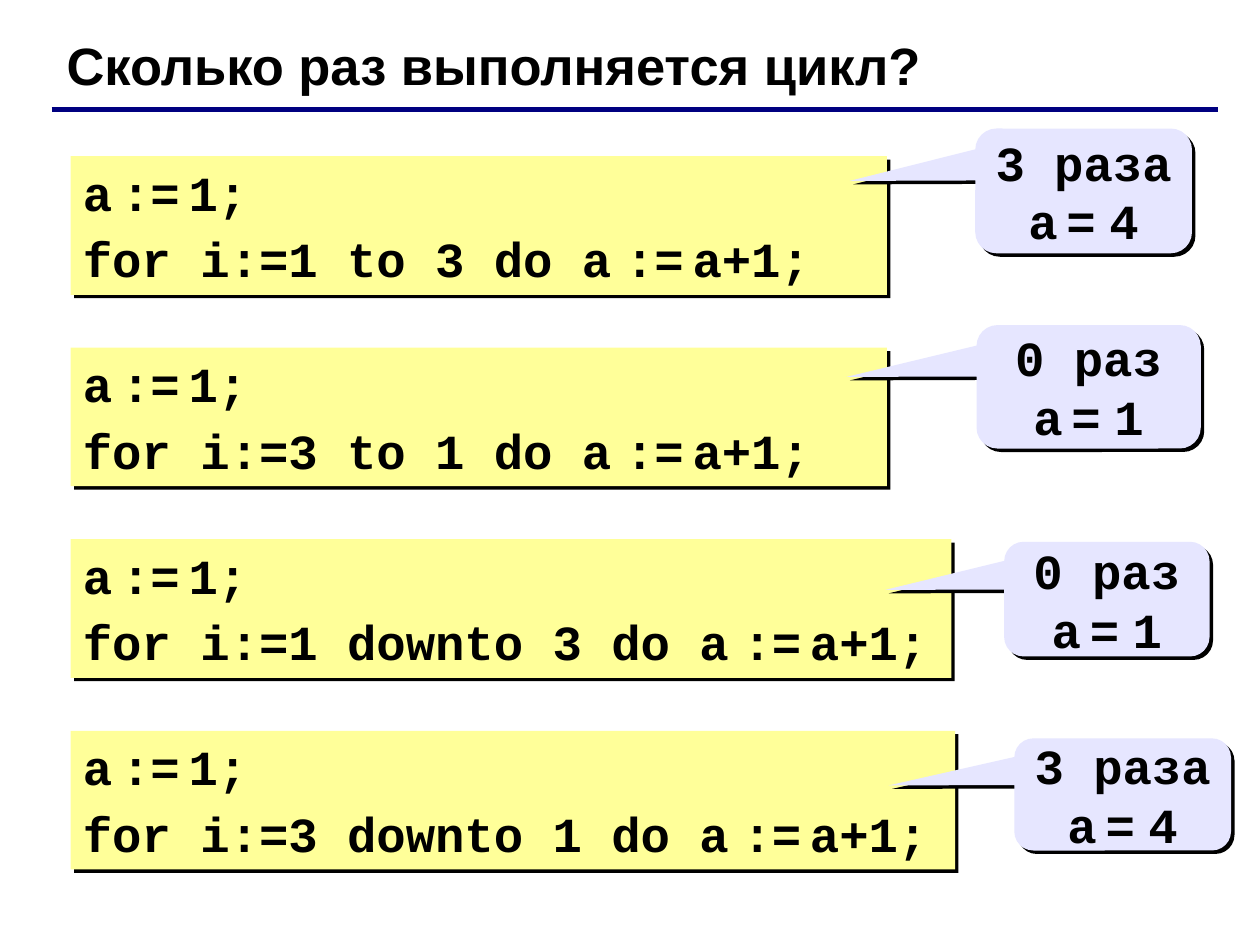
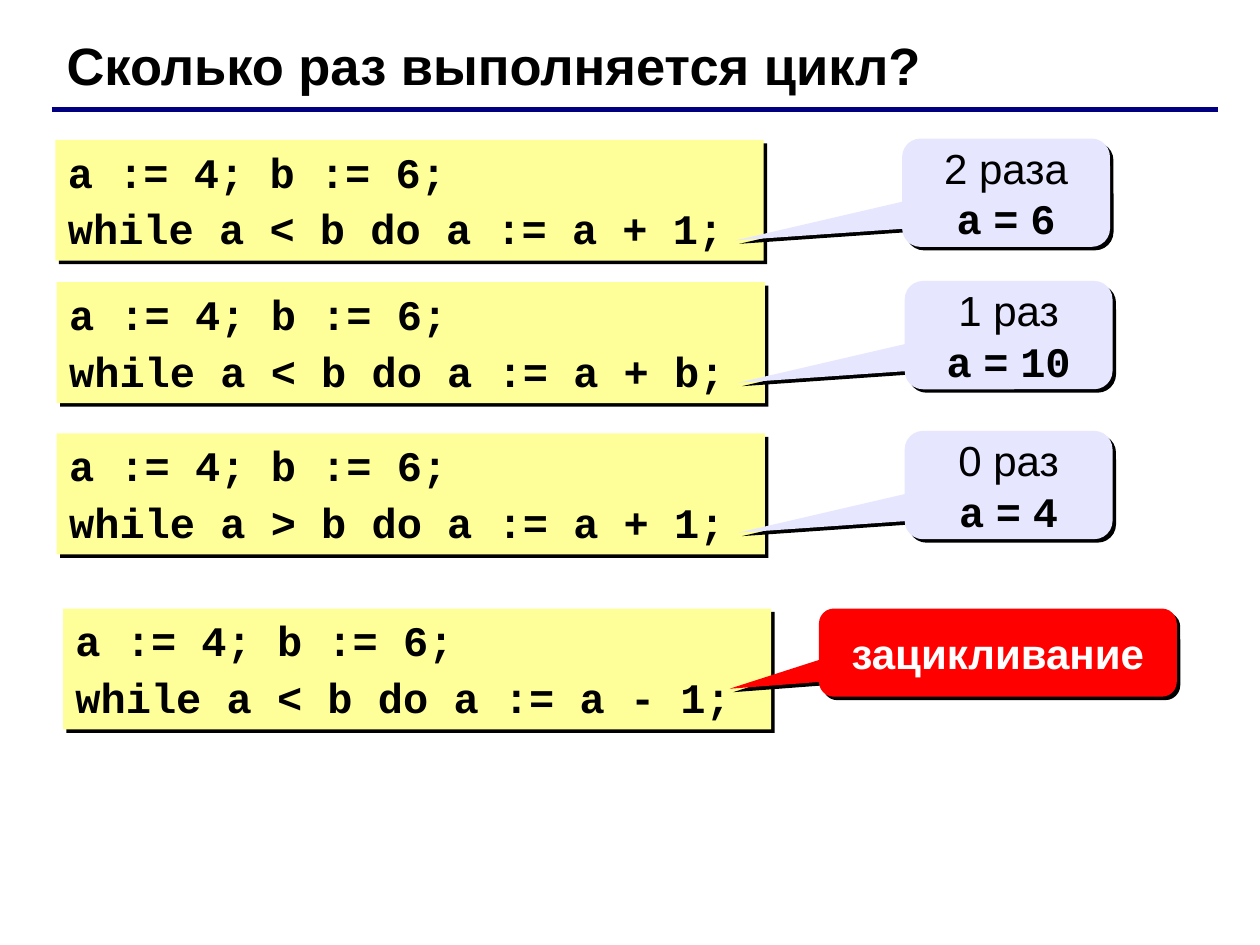
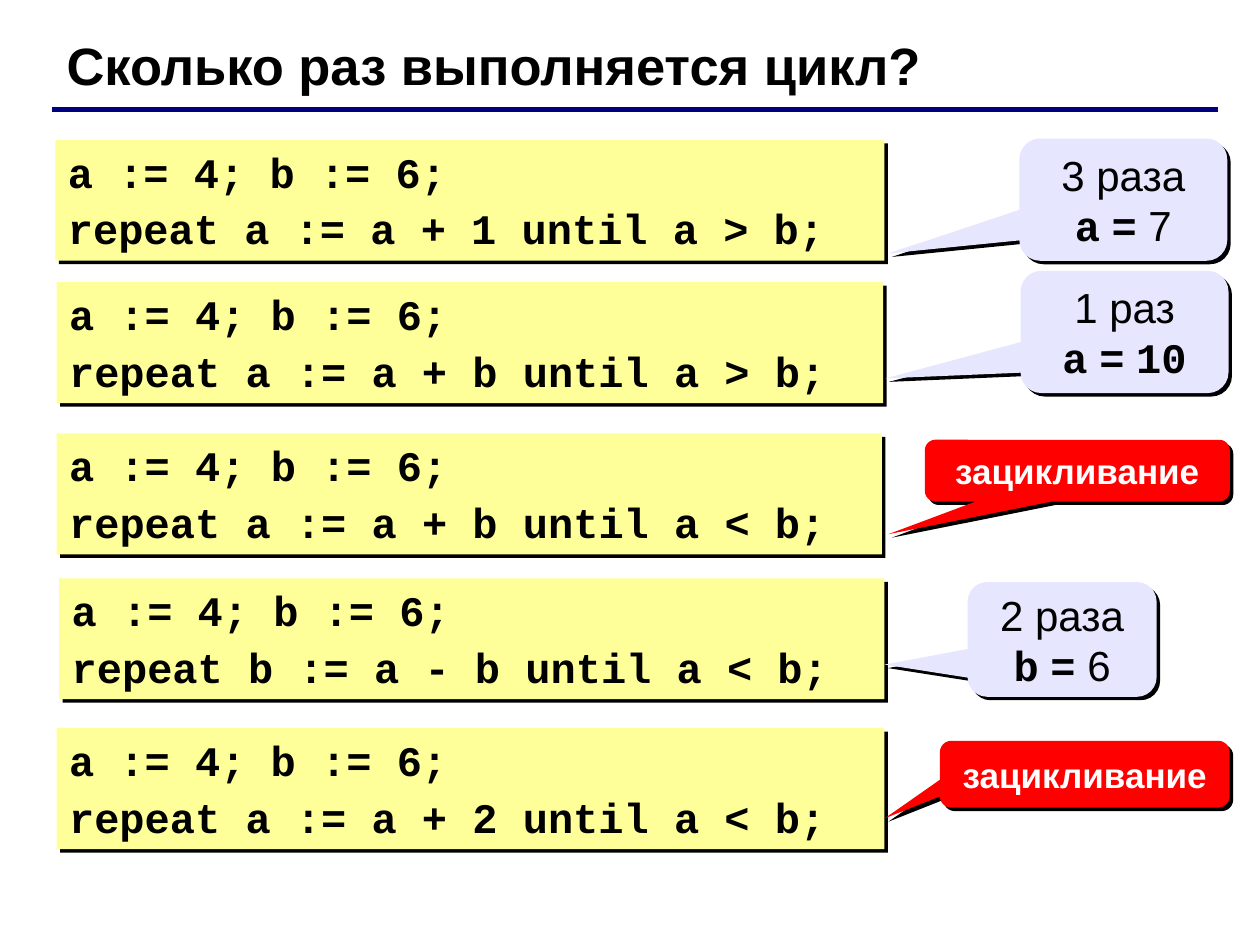
"""Build three slides that ask how many times a Pascal loop runs."""
from lxml.etree import SubElement
from pptx import Presentation
from pptx.dml.color import RGBColor
from pptx.enum.shapes import MSO_CONNECTOR, MSO_SHAPE
from pptx.enum.text import MSO_ANCHOR, MSO_AUTO_SIZE, PP_ALIGN
from pptx.oxml.ns import qn
from pptx.util import Inches, Pt

COLORS = {"text": "000000", "rule": "000080", "code": "FFFF99",
          "answer": "E6E6FF", "alarm": "FF0000", "light": "FFFFFF"}
SANS, MONO = "Arial", "Courier New"
COLS, ROWS = 100, 75
THIN_SPACE = 18


class Deck:
    """Hold the style and the current slide."""

    def __init__(self):
        self.prs = Presentation()
        self.prs.slide_width, self.prs.slide_height = Inches(10), Inches(7.5)
        self.slide = None

    def x(self, cols):
        """Turn columns into a length."""
        return round(self.prs.slide_width * cols / COLS)

    def y(self, rows):
        """Turn rows into a length."""
        return round(self.prs.slide_height * rows / ROWS)

    def box(self, at):
        """Turn a grid rectangle into lengths."""
        left, top, width, height = at
        return self.x(left), self.y(top), self.x(width), self.y(height)

    def color(self, name):
        """Look up a colour."""
        return RGBColor.from_string(COLORS[name])

    def font(self, font, name, bold):
        """Set the typeface and weight."""
        font.name, font.bold = name, bold

    def paragraph(self, p, text, size, color="text", bold_sans=False):
        """Write text in which bars switch between mono and sans."""
        p.font.size, p.font.color.rgb = Pt(size), self.color(color)
        parts = [(i % 2, part) for i, part in enumerate(text.split("|")) if part]
        for sans, part in parts:
            r = p.add_run()
            r.text = part.replace("~", " ")
            style = (SANS, bold_sans) if sans else (MONO, True)
            self.font(p.font if len(parts) == 1 else r.font, *style)
            if "~" in part:
                r.font.size = Pt(THIN_SPACE)

    def title(self, text):
        """Start a slide with a title and a rule under it."""
        self.slide = self.prs.slides.add_slide(self.prs.slide_layouts[6])
        shapes = self.slide.shapes
        rule = shapes.add_connector(MSO_CONNECTOR.STRAIGHT, self.x(4.1), self.y(8.7),
                                    self.x(96.7), self.y(8.7))
        rule.line.color.rgb, rule.line.width = self.color("rule"), Pt(3)
        SubElement(rule._element.spPr, qn("a:effectLst"))
        tf = shapes.add_textbox(*self.box((4.3, 2.1, 89, 6))).text_frame
        tf.word_wrap = True
        p = tf.paragraphs[0]
        p.space_before = Pt(2)
        self.paragraph(p, "|" + text, 30, bold_sans=True)

    def panel(self, kind, at, fill):
        """Add a filled shape with a hard shadow and return it."""
        sp = self.slide.shapes.add_shape(kind, *self.box(at))
        sp.fill.solid()
        sp.fill.fore_color.rgb = self.color(fill)
        sp.line.fill.background()
        sp.shadow.inherit = False
        effects = sp._element.spPr.find(qn("a:effectLst"))
        shadow = SubElement(effects, qn("a:outerShdw"), dist=str(Pt(2.8)),
                            dir="2700000", algn="ctr", rotWithShape="0")
        SubElement(shadow, qn("a:srgbClr"), val=COLORS["text"])
        sp.text_frame.word_wrap = True
        return sp

    def lines(self, tf, texts, size, align, gap=0, **style):
        """Fill a text frame with one paragraph per text."""
        for i, text in enumerate(texts):
            p = tf.add_paragraph() if i else tf.paragraphs[0]
            p.alignment, p.space_before = align, Pt(gap)
            self.paragraph(p, text, size, **style)

    def code(self, left, top, width, texts, size):
        """Add a code box as high as its two lines."""
        height = 11 if size == 28 else 9.6
        tf = self.panel(MSO_SHAPE.RECTANGLE, (left, top, width, height), "code").text_frame
        tf.vertical_anchor = MSO_ANCHOR.TOP
        tf.auto_size = MSO_AUTO_SIZE.SHAPE_TO_FIT_TEXT
        self.lines(tf, texts, size, PP_ALIGN.LEFT, gap=0.15 * size)

    def callout(self, at, tip, texts, size, fill="answer", **style):
        """Add a callout whose tip is given as shares of its size."""
        sp = self.panel(MSO_SHAPE.ROUNDED_RECTANGULAR_CALLOUT, at, fill)
        for i, value in enumerate((*tip, 0.17)):
            sp.adjustments[i] = value
        sp.text_frame.vertical_anchor = MSO_ANCHOR.MIDDLE
        self.lines(sp.text_frame, texts, size, PP_ALIGN.CENTER, **style)

    def alarm(self, at, tip, size):
        """Add the red callout for an endless loop."""
        self.callout(at, tip, ["|зацикливание"], size, "alarm",
                     color="light", bold_sans=True)


TITLE = "Сколько раз выполняется цикл?"
START = "a := 4; b := 6;"

FOR_LOOPS = [
    ("1 to 3", 64.8, (77.4, 10.2, 17.2, 9.9), "3 раза", 4),
    ("3 to 1", 64.8, (77.5, 25.8, 17.8, 9.8), "0 раз", 1),
    ("1 downto 3", 69.9, (79.7, 43, 16.3, 9.1), "0 раз", 1),
    ("3 downto 1", 70.2, (80.5, 58.6, 17.2, 8.9), "3 раза", 4),
]
WHILE_LOOPS = [
    (4.4, 11.1, "a < b do a := a + 1", (71.6, 11), "2 раза", 6),
    (4.5, 22.4, "a < b do a := a + b", (71.8, 22.3), "1 раз", 10),
    (4.5, 34.4, "a > b do a := a + 1", (71.8, 34.2), "0 раз", 4),
    (5, 48.3, "a < b do a := a - 1", None, None, None),
]
REPEAT_LOOPS = [
    (4.4, 11.1, 65.8, "a := a + 1 until a > b",
     (80.9, 11, 16.5, 9.7), (-1.13, 0.44), ["|3 раза", "a| |=| 7"]),
    (4.5, 22.4, 65.6, "a := a + b until a > b",
     (81, 21.5, 16.5, 9.7), (-1.15, 0.38), ["|1 раз", "a| |=| |10"]),
    (4.5, 34.4, 65.5, "a := a + b until a < b",
     (73.4, 34.9, 24.2, 4.9), (-0.62, 1.03), None),
    (4.7, 45.9, 65.5, "b := a - b until a < b",
     (76.8, 46.2, 15, 9.1), (-0.94, 0.22), ["|2 раза", "b| |=| 6"]),
    (4.5, 57.8, 65.7, "a := a + 2 until a < b",
     (74.6, 58.8, 23, 5.3), (-0.69, 0.66), None),
]

deck = Deck()

deck.title(TITLE)
for i, (bounds, width, at, count, value) in enumerate(FOR_LOOPS):
    loop = f"for i:={bounds} do a| |:=|~|a+1;"
    deck.code(5.6, 12.4 + 15.2 * i, width, ["a|~|:=|~|1;", loop], 28)
    deck.callout(at, (-1.08, -0.08), [count, f"a|~|=| |{value}"], 28)

deck.title(TITLE)
for left, top, loop, corner, count, value in WHILE_LOOPS:
    deck.code(left, top, 56.2, [START, f"while {loop};"], 24)
    if corner:
        deck.callout((*corner, 16.5, 8.6), (-1.3, 0.44),
                     [f"|{count}", f"a| |=| |{value}"], 24)
    else:
        deck.alarm((65, top, 28.4, 7), (-0.75, 0.41), 24)

deck.title(TITLE)
for left, top, width, loop, at, tip, answer in REPEAT_LOOPS:
    deck.code(left, top, width, [START, f"repeat {loop};"], 24)
    if answer:
        deck.callout(at, tip, answer, 24)
    else:
        deck.alarm(at, tip, 20)

deck.prs.save("out.pptx")
